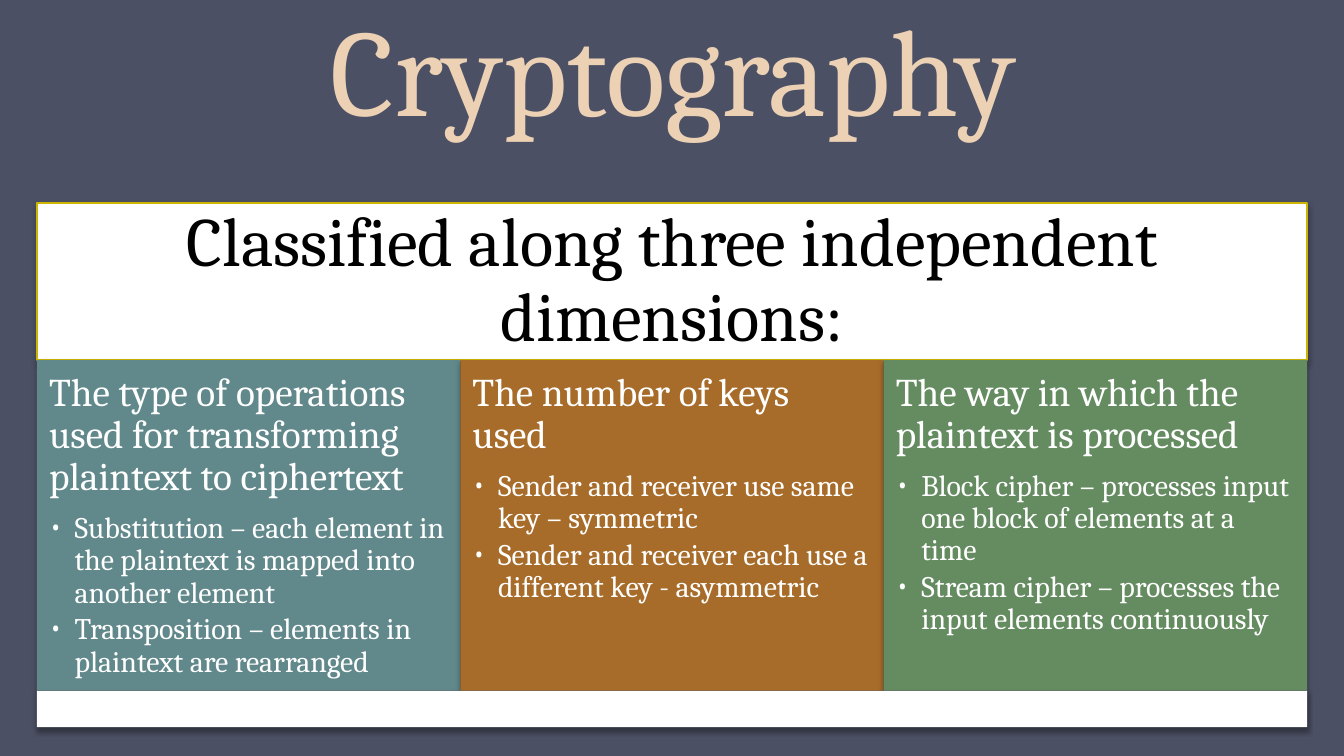
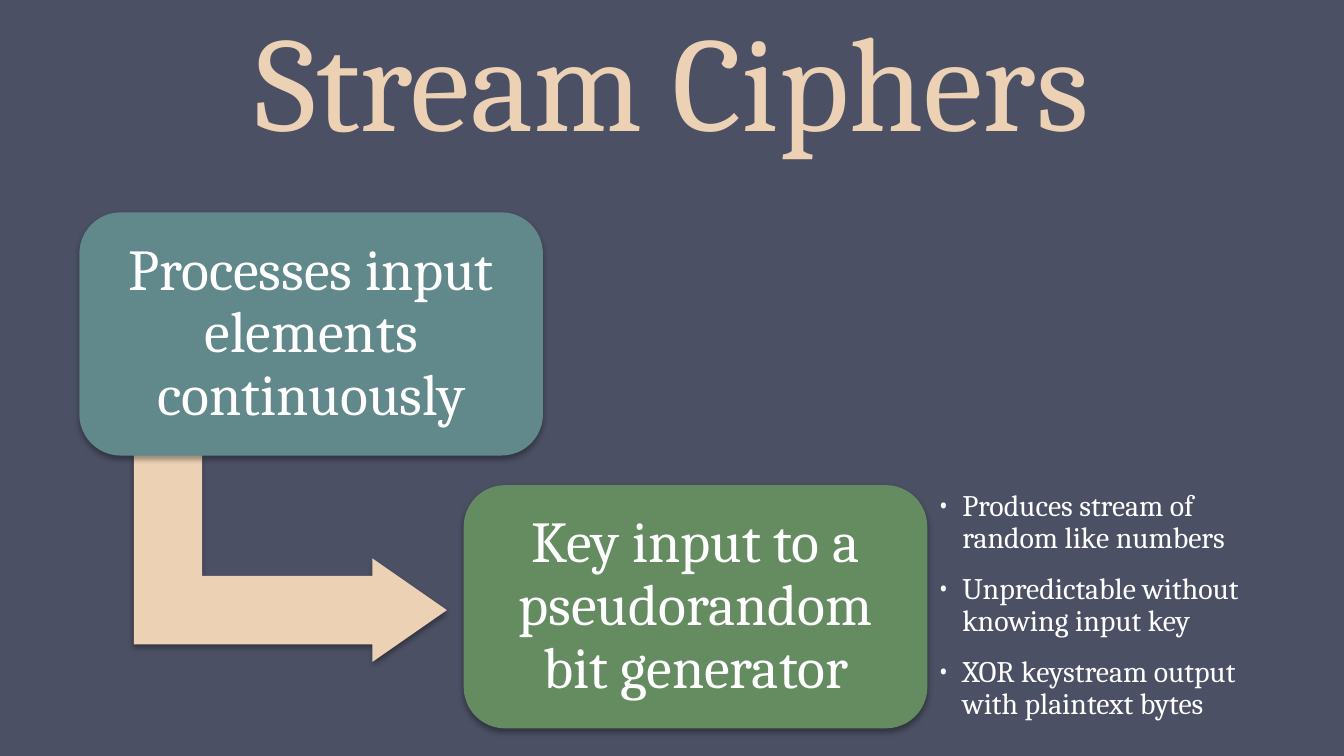
from dataclasses import dataclass

from lxml.etree import SubElement
from pptx import Presentation
from pptx.dml.color import RGBColor
from pptx.enum.shapes import MSO_SHAPE as Preset
from pptx.enum.text import MSO_ANCHOR as Anchor, PP_ALIGN as Align
from pptx.oxml.ns import qn
from pptx.shapes.autoshape import Shape
from pptx.slide import Slide
from pptx.text.text import TextFrame
from pptx.util import Emu, Inches, Pt

SLIDE_WIDTH = 10
SLIDE_HEIGHT = SLIDE_WIDTH * 9 / 16
FONT = "Cambria"
SLATE, SAND, WHITE, BLACK = "4B5064", "ECD1B5", "FFFFFF", "000000"
TEAL, BROWN, GREEN, GOLD = "61888A", "A86C2A", "648C60", "CCB400"


@dataclass(frozen=True)
class Box:
    left: float
    top: float
    width: float
    height: float

    def emu(self) -> tuple[Emu, ...]:
        return tuple(map(Inches, (self.left, self.top, self.width, self.height)))


@dataclass(frozen=True)
class Line:
    text: str
    size: float
    color: str = WHITE
    align: Align = Align.LEFT
    spacing: float = 0.9
    before: float = 0
    bullet: bool = False


@dataclass(frozen=True)
class Dimension:
    heading: str
    points: tuple[str, str]
    color: str


@dataclass(frozen=True)
class Step:
    text: str
    left: float
    top: float
    color: str


DIMENSIONS = (
    Dimension(
        "The type of operations used for transforming plaintext to ciphertext",
        ("Substitution – each element in the plaintext is mapped into another element",
         "Transposition – elements in plaintext are rearranged"),
        TEAL,
    ),
    Dimension(
        "The number of keys used",
        ("Sender and receiver use same key – symmetric",
         "Sender and receiver each use a different key - asymmetric"),
        BROWN,
    ),
    Dimension(
        "The way in which the plaintext is processed",
        ("Block cipher – processes input one block of elements at a time",
         "Stream cipher – processes the input elements continuously"),
        GREEN,
    ),
)
STEPS = (
    Step("Processes input elements continuously", 0.59, 1.58, TEAL),
    Step("Key input to a pseudorandom bit generator", 3.45, 3.61, GREEN),
)
GENERATOR_POINTS = (
    "Produces stream of random like numbers",
    "Unpredictable without knowing input key",
    "XOR keystream output with plaintext bytes",
)


def rgb(color: str) -> RGBColor:
    return RGBColor.from_string(color)


def apply(target: object, values: dict[str, object]) -> None:
    for name, value in values.items():
        setattr(target, name, value)


def add_bullet(paragraph, color: str) -> None:
    paragraph.level = 1
    properties = paragraph._p.get_or_add_pPr()
    properties.set("marL", str(Inches(0.19)))
    properties.set("indent", str(Inches(-0.19)))
    bullet_color = SubElement(properties, qn("a:buClr"))
    SubElement(bullet_color, qn("a:srgbClr"), val=color)
    SubElement(properties, qn("a:buFont"), typeface=FONT)
    SubElement(properties, qn("a:buChar"), char="•")


def write(frame: TextFrame, lines: list[Line], anchor: Anchor,
          inset_x: float, inset_y: float) -> None:
    apply(frame, {
        "word_wrap": True,
        "vertical_anchor": anchor,
        "margin_left": Inches(inset_x),
        "margin_right": Inches(inset_x),
        "margin_top": Inches(inset_y),
        "margin_bottom": Inches(inset_y),
    })
    for index, line in enumerate(lines):
        paragraph = frame.add_paragraph() if index else frame.paragraphs[0]
        apply(paragraph, {
            "alignment": line.align,
            "line_spacing": line.spacing,
            "space_before": Pt(line.before),
        })
        if line.bullet:
            add_bullet(paragraph, line.color)
        run = paragraph.add_run()
        run.text = line.text
        apply(run.font, {"name": FONT, "size": Pt(line.size)})
        run.font.color.rgb = rgb(line.color)


def add_panel(slide: Slide, preset: Preset, box: Box, color: str) -> Shape:
    panel = slide.shapes.add_shape(preset, *box.emu())
    panel.fill.solid()
    panel.fill.fore_color.rgb = rgb(color)
    panel.line.fill.background()
    panel.shadow.inherit = False
    effects = panel._element.spPr.find(qn("a:effectLst"))
    shadow = SubElement(effects, qn("a:outerShdw"), blurRad=str(Pt(3.1)),
                        dist=str(Pt(1.8)), dir="5400000", rotWithShape="0")
    shade = SubElement(shadow, qn("a:srgbClr"), val=BLACK)
    SubElement(shade, qn("a:alpha"), val="35000")
    return panel


def add_titled_slide(deck: Presentation, title: str, box: Box,
                     size: float, spacing: float) -> Slide:
    slide = deck.slides.add_slide(deck.slide_layouts[6])
    slide.background.fill.solid()
    slide.background.fill.fore_color.rgb = rgb(SLATE)
    heading = slide.shapes.add_textbox(*box.emu())
    write(heading.text_frame, [Line(title, size, SAND, Align.CENTER, spacing)],
          Anchor.BOTTOM, 0.1, 0.05)
    return slide


def build_cryptography(deck: Presentation) -> None:
    slide = add_titled_slide(deck, "Cryptography", Box(0.51, -0.2, 9, 1.31), 66, 0.88)
    width = 9.45
    left = (SLIDE_WIDTH - width) / 2
    column_top, column_height = 2.68, 2.46
    column_width = width / len(DIMENSIONS)

    banner = add_panel(slide, Preset.RECTANGLE, Box(left, 1.51, width, 1.17), WHITE)
    banner.line.color.rgb = rgb(GOLD)
    banner.line.width = Pt(0.75)
    write(banner.text_frame,
          [Line("Classified along three independent dimensions:", 37, BLACK, Align.CENTER)],
          Anchor.MIDDLE, 0.15, 0.15)

    for index, dimension in enumerate(DIMENSIONS):
        box = Box(left + index * column_width, column_top, column_width, column_height)
        column = add_panel(slide, Preset.RECTANGLE, box, dimension.color)
        first, second = dimension.points
        write(column.text_frame, [
            Line(dimension.heading, 21),
            Line(first, 16, before=7.3, bullet=True),
            Line(second, 16, before=2.4, bullet=True),
        ], Anchor.TOP, 0.09, 0.09)

    add_panel(slide, Preset.RECTANGLE,
              Box(left, column_top + column_height, width, 0.27), WHITE)


def build_stream_ciphers(deck: Presentation) -> None:
    slide = add_titled_slide(deck, "Stream Ciphers", Box(0.5, 0, 9, 1.22), 72, 0.81)

    arrow = add_panel(slide, Preset.BENT_UP_ARROW, Box(1.39, 2.99, 1.54, 2.33), SAND)
    arrow.rotation = 90
    for index, ratio in enumerate((0.33, 0.25, 0.36)):
        arrow.adjustments[index] = ratio

    for step in STEPS:
        card = add_panel(slide, Preset.ROUNDED_RECTANGLE,
                         Box(step.left, step.top, 3.45, 1.81), step.color)
        card.adjustments[0] = 0.17
        write(card.text_frame, [Line(step.text, 31, align=Align.CENTER)],
              Anchor.MIDDLE, 0.16, 0.13)

    points = slide.shapes.add_textbox(*Box(6.9, 3.78, 2.51, 1.46).emu())
    write(points.text_frame,
          [Line(text, 16, before=9.9 if index else 0, bullet=True)
           for index, text in enumerate(GENERATOR_POINTS)],
          Anchor.MIDDLE, 0.07, 0.07)


def main() -> None:
    deck = Presentation()
    apply(deck, {"slide_width": Inches(SLIDE_WIDTH), "slide_height": Inches(SLIDE_HEIGHT)})
    build_cryptography(deck)
    build_stream_ciphers(deck)
    deck.save("out.pptx")


if __name__ == "__main__":
    main()
